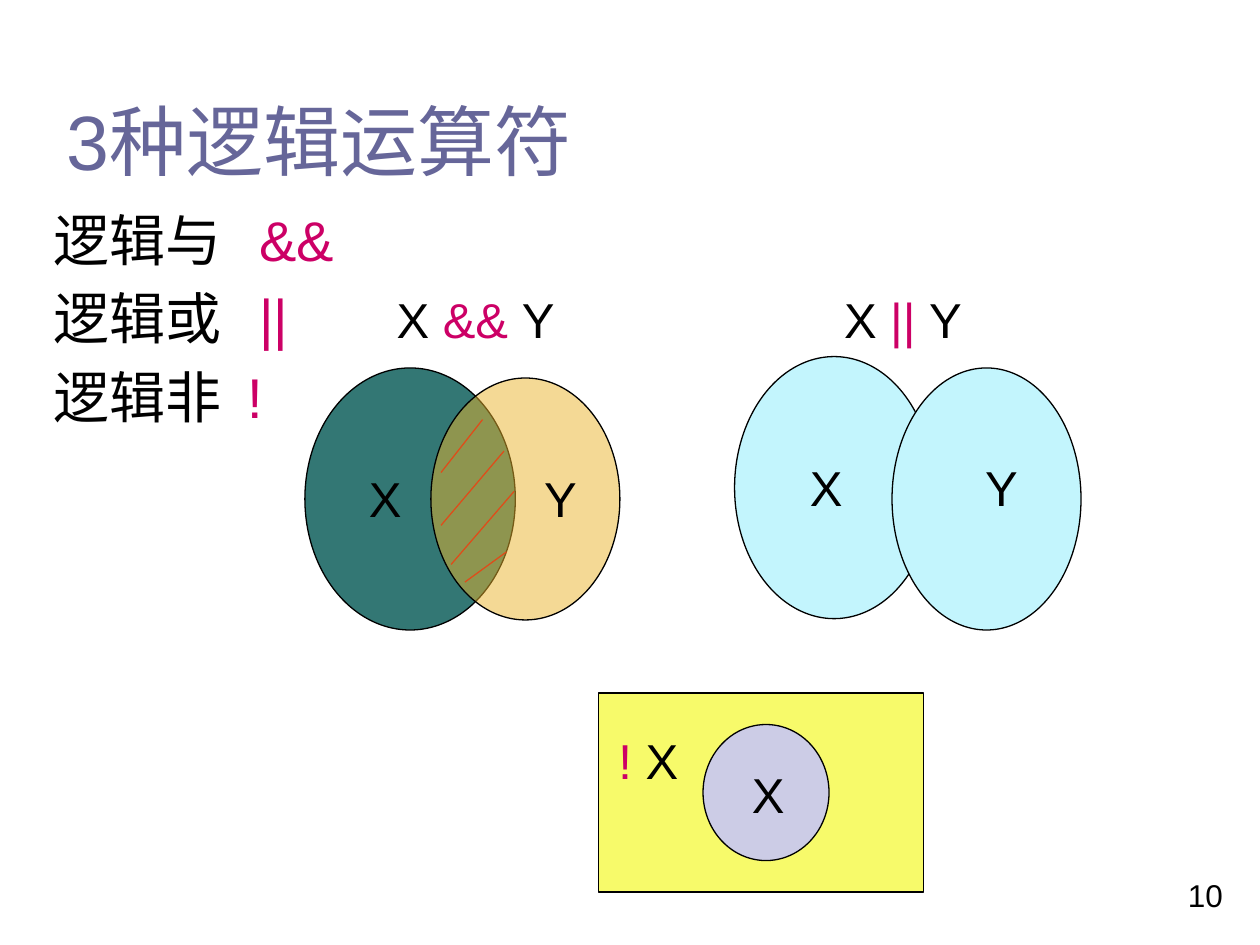
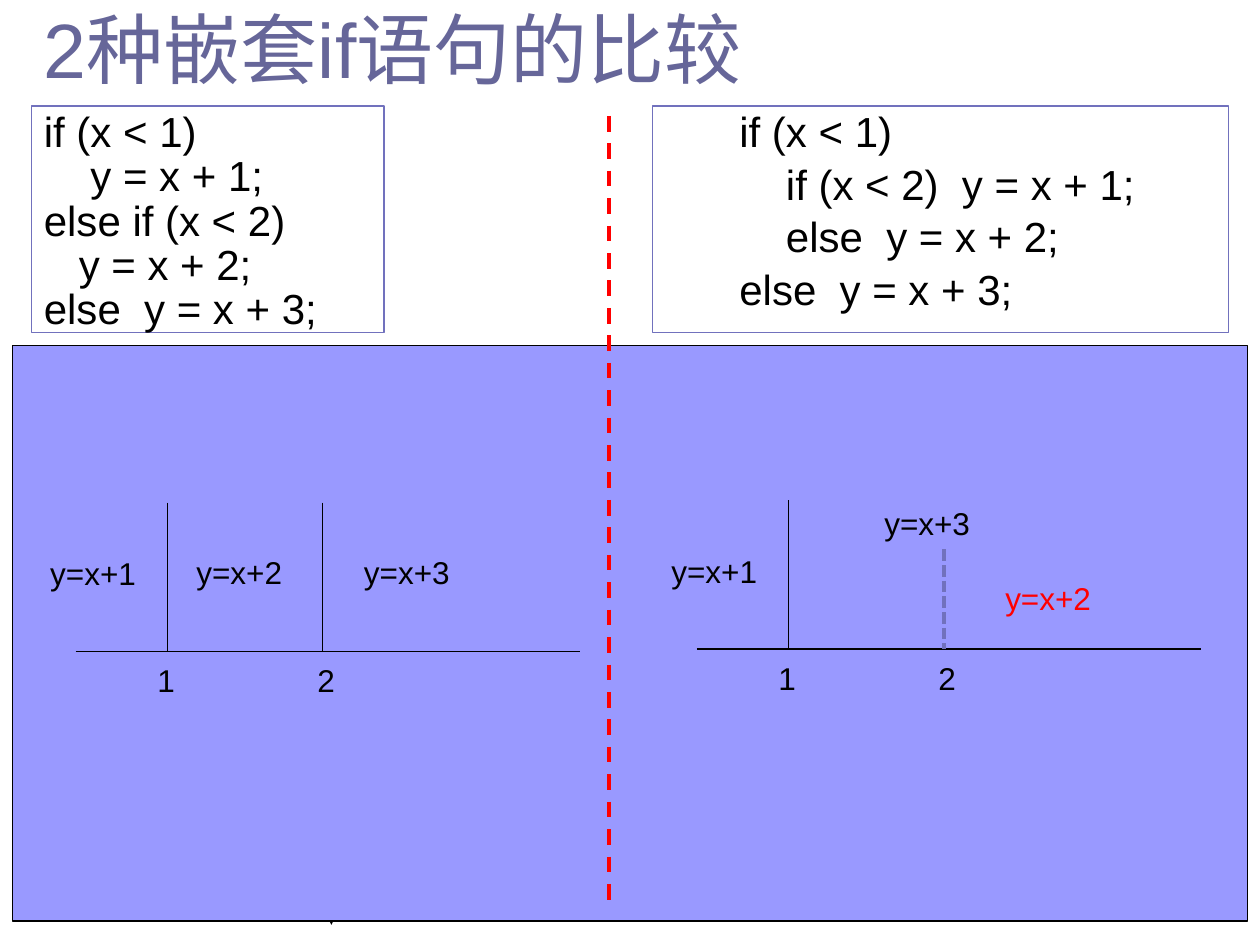
"""Two slides on logical operators and nested if statements."""
from lxml.etree import SubElement
from pptx import Presentation
from pptx.dml.color import RGBColor
from pptx.enum.dml import MSO_LINE as Dash
from pptx.enum.shapes import MSO_CONNECTOR as Link, MSO_SHAPE as Form
from pptx.enum.text import MSO_ANCHOR as Anchor
from pptx.oxml.ns import qn
from pptx.util import Inches, Pt

BLACK, ACCENT, SLATE, RED, BORDER = "000000", "CC0066", "666699", "FF0000", "7171BD"
AQUA = "C3F5FD"
FONTS = {
    "title": {"name": "Arial", "size": Pt(44)},
    "body": {"name": "Arial", "size": Pt(32)},
    "label": {"name": "Arial", "size": Pt(28)},
    "code": {"name": "Arial", "size": Pt(24)},
    "small": {"name": "Arial", "size": Pt(18)},
}

OPERATORS = [("逻辑与", "&&", 1.63), ("逻辑或", "||", 1.63), ("逻辑非", "!", 1.54)]
SETS = [
    (Form.OVAL, (5.83, 2.83, 1.58, 2.08), AQUA, None),
    (Form.OVAL, (7.08, 2.92, 1.5, 2.08), AQUA, None),
    (Form.RECTANGLE, (4.75, 5.5, 2.58, 1.58), "F7FA6A", None),
    (Form.OVAL, (5.58, 5.75, 1, 1.08), "CCCCE6", None),
    (Form.OVAL, (2.42, 2.92, 1.67, 2.08), "337774", None),
    (Form.OVAL, (3.42, 3, 1.5, 1.92), "EAB42C", 50),
]
HATCHES = [((3.83, 3.33), (3.5, 3.75)), ((4, 3.58), (3.5, 4.17)),
           ((4.08, 3.9), (3.58, 4.48)), ((4.02, 4.38), (3.69, 4.62))]
SET_LABELS = [
    ((2.83, 3.67, 0.47), [("X", BLACK)]),
    ((3.05, 2.25, 1.56), [("X ", BLACK), ("&& ", ACCENT), ("Y", BLACK)]),
    ((4.22, 3.67, 0.44), [("Y", BLACK)]),
    ((6.33, 3.58, 0.47), [("X", BLACK)]),
    ((7.72, 3.58, 0.44), [("Y", BLACK)]),
    ((6.6, 2.25, 1.21), [("X ", BLACK), ("|| ", ACCENT), ("Y", BLACK)]),
    ((5.87, 6.02, 0.47), [("X", BLACK)]),
    ((4.81, 5.75, 0.75), [("! ", ACCENT), ("X", BLACK)]),
]

LISTINGS = [
    {"place": (0.25, 0.84, 2.8, 1.8), "indent": 0, "gap": 0, "lines": [
        "if (x < 1)", "    y = x + 1;", "else if (x < 2)",
        "   y = x + 2;", "else  y = x + 3;"]},
    {"place": (5.18, 0.84, 4.57, 1.8), "indent": 0.59, "gap": 4.8, "lines": [
        "if (x < 1)", "    if (x < 2)  y = x + 1;",
        "    else  y = x + 2;", "else  y = x + 3;"]},
]
AXES = [
    {"origin": (0.6, 5.17), "second": (1.18, BLACK, 0.75, None),
     "regions": [("y=x+2", 0.86, 0.83, BLACK), ("y=x+3", 2.19, 0.83, BLACK)]},
    {"origin": (5.53, 5.15), "second": (0.79, BORDER, 2.25, Dash.SQUARE_DOT),
     "regions": [("y=x+3", 1.39, 1.2, BLACK), ("y=x+2", 2.35, 0.6, RED)]},
]
AXIS_LENGTH, TICK_1, TICK_2, TICK_HEIGHT = 4, 0.73, 1.96, 1.18


def rgb(value):
    """Turn a hex string into a colour."""
    return RGBColor.from_string(value)


def add_text(slide, place, paragraphs, style, *, wrap=True, anchor=Anchor.TOP,
             gap=0, spacing=None, indent=0, tabs=()):
    """Add a text box whose paragraphs are lists of (text, colour) runs."""
    box = slide.shapes.add_textbox(*map(Inches, place))
    frame = box.text_frame
    frame.word_wrap, frame.vertical_anchor = wrap, anchor
    for index, runs in enumerate(paragraphs):
        paragraph = frame.paragraphs[0] if index == 0 else frame.add_paragraph()
        properties = paragraph._p.get_or_add_pPr()
        if indent:
            properties.set("marL", str(Inches(indent)))
        if tabs:
            stops = SubElement(properties, qn("a:tabLst"))
            SubElement(stops, qn("a:tab"), pos=str(Inches(tabs[index])), algn="l")
        if spacing:
            paragraph.line_spacing = spacing
        if index and gap:
            paragraph.space_before = Pt(gap)
        for text, colour in runs:
            run = paragraph.add_run()
            run.text = text
            for attribute, value in FONTS[style].items():
                setattr(run.font, attribute, value)
            run.font.color.rgb = rgb(colour)
    return box


def add_title(slide, place, *parts):
    """Add the slide title."""
    return add_text(slide, place, [[(part, SLATE) for part in parts]], "title",
                    anchor=Anchor.MIDDLE)


def add_form(slide, form, place, fill, opacity=None):
    """Add a filled shape with a thin black outline."""
    shape = slide.shapes.add_shape(form, *map(Inches, place))
    shape.shadow.inherit = False
    shape.fill.solid()
    shape.fill.fore_color.rgb = rgb(fill)
    shape.line.color.rgb = rgb(BLACK)
    shape.line.width = Pt(0.75)
    if opacity:
        colour = shape._element.spPr.find(qn("a:solidFill"))[0]
        SubElement(colour, qn("a:alpha"), val=str(opacity * 1000))


def add_line(slide, start, end, colour=BLACK, width=0.75, dash=None, arrow=False):
    """Add a straight line, dashed or arrowed if asked."""
    line = slide.shapes.add_connector(Link.STRAIGHT, *map(Inches, (*start, *end)))
    line.line.color.rgb = rgb(colour)
    line.line.width = Pt(width)
    if dash:
        line.line.dash_style = dash
    if arrow:
        SubElement(line.line._get_or_add_ln(), qn("a:tailEnd"), type="triangle")
    SubElement(line._element.spPr, qn("a:effectLst"))


def add_axis(slide, origin, second, regions):
    """Draw a number line split at 1 and 2, with the formula of each region."""
    left, base = origin
    height, colour, width, dash = second
    add_line(slide, origin, (left + AXIS_LENGTH, base))
    add_line(slide, (left + TICK_1, base - TICK_HEIGHT), (left + TICK_1, base))
    add_line(slide, (left + TICK_2, base - height), (left + TICK_2, base),
             colour, width, dash)
    for number, offset in (("1", 0.55), ("2", 1.82)):
        add_text(slide, (left + offset, base + 0.03, 0.36, 0.4),
                 [[(number, BLACK)]], "small")
    for formula, offset, rise, ink in [("y=x+1", -0.3, 0.82, BLACK), *regions]:
        add_text(slide, (left + offset, base - rise, 1.12, 0.4),
                 [[(formula, ink)]], "small")


def build_operators(slide):
    """Build the slide on the three logical operators."""
    add_text(slide, (9.33, 6.9, 0.55, 0.4), [[("10", BLACK)]], "small")
    add_title(slide, (0.43, 0.36, 9, 1.5), "3种逻辑运算符")
    add_text(slide, (0.33, 1.58, 2.7, 1.93),
             [[(name + "\t", BLACK), (sign, ACCENT)] for name, sign, _ in OPERATORS],
             "body", gap=6.4, tabs=[stop for *_, stop in OPERATORS])
    for form in SETS:
        add_form(slide, *form)
    for start, end in HATCHES:
        add_line(slide, start, end, "DE4D1A")
    for place, runs in SET_LABELS:
        add_text(slide, (*place, 0.57), [runs], "label", wrap=False)


def build_comparison(slide):
    """Build the slide comparing two nested if statements."""
    for listing in LISTINGS:
        box = add_text(slide, listing["place"],
                       [[(line, BLACK)] for line in listing["lines"]], "code",
                       gap=listing["gap"], spacing=0.88, indent=listing["indent"])
        box.line.color.rgb = rgb(BORDER)
        box.line.width = Pt(1)
    add_line(slide, (2.63, 6.38), (2.63, 7.34), width=1, arrow=True)
    title = add_title(slide, (0.25, 0, 6.32, 0.75), "2种嵌套if", "语句的比较")
    title.text_frame.paragraphs[0].runs[1].font.name = "Noto Sans CJK SC"
    add_form(slide, Form.RECTANGLE, (0.1, 2.74, 9.8, 4.57), "9999FF")
    for axis in AXES:
        add_axis(slide, **axis)
    add_line(slide, (4.83, 0.92), (4.83, 7.21), RED, 2.25, Dash.DASH)


def main():
    """Build and save the presentation."""
    deck = Presentation()
    deck.slide_width, deck.slide_height = Inches(10), Inches(7.5)
    for build in (build_operators, build_comparison):
        build(deck.slides.add_slide(deck.slide_layouts[6]))
    deck.save("out.pptx")


if __name__ == "__main__":
    main()
